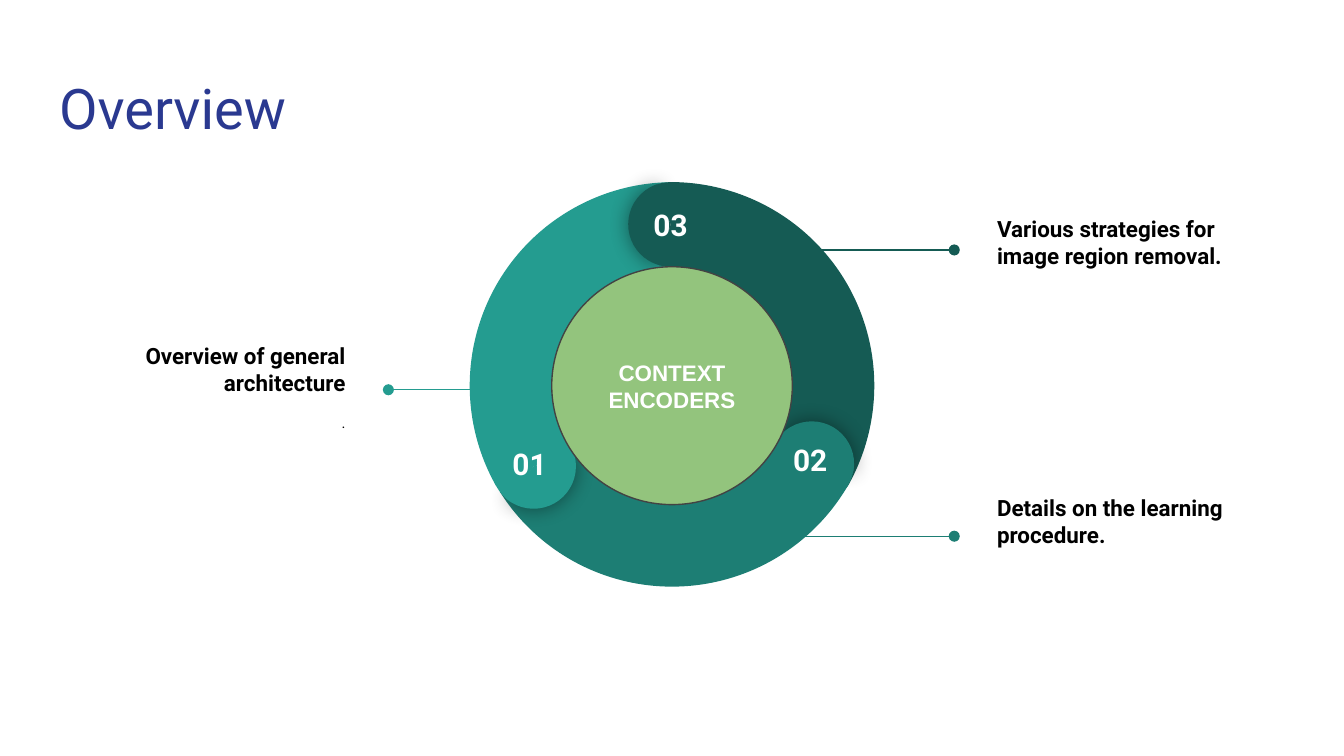
from dataclasses import dataclass
from math import cos, radians, sin

from lxml.etree import SubElement
from pptx import Presentation
from pptx.dml.color import RGBColor
from pptx.enum.shapes import MSO_CONNECTOR, MSO_SHAPE
from pptx.enum.text import MSO_ANCHOR, PP_ALIGN
from pptx.oxml.ns import qn
from pptx.util import Inches, Pt


@dataclass(frozen=True)
class Theme:
    font: str = "Roboto"
    hub_font: str = "Arial"
    title: str = "2A3990"
    ink: str = "000000"
    white: str = "FFFFFF"
    hub: str = "93C47D"
    hub_line: str = "434343"
    title_size: int = 30
    number_size: int = 16
    body_size: int = 12
    small_size: int = 8


THEME = Theme()
WIDTH = 10
HEIGHT = WIDTH * 9 / 16
TITLE = "Overview"
HUB = "CONTEXT ENCODERS"
STEPS = [
    dict(number="03", color="155B54", turn=0, center=(4.99, 2.87),
         arc=(126.225, 197.816, 0.208), nudge=(0, -0.09)),
    dict(number="02", color="1D7E74", turn=120, center=(5, 2.85),
         arc=(126.225, 196.628, 0.207), nudge=(-0.01, -0.12)),
    dict(number="01", color="249C90", turn=240, center=(5.01, 2.87),
         arc=(126.225, 197.033, 0.209), nudge=(-0.03, -0.11)),
]
CALLOUTS = [
    dict(lines=["Overview of general architecture", "."], color="249C90",
         left=0.35, top=2.17, line=(3.58, 2.89, 2.9), align=PP_ALIGN.RIGHT, rows_below=0),
    dict(lines=["Various strategies for image region removal."], color="155B54",
         left=7.32, top=1.16, line=(5.7, 7.1, 1.86), align=PP_ALIGN.LEFT, rows_below=1),
    dict(lines=["Details on the learning procedure."], color="1D7E74",
         left=7.32, top=3.3, line=(5.7, 7.1, 3.99), align=PP_ALIGN.LEFT, rows_below=2),
]
CALLOUT_SIZE = (2.32, 1.41)
RING, CAP, CAP_RADIUS = 3.03, 0.63, 1.2
SMALL_ROW = 0.13
FRONT_CAP, BACK_CAP = (61.904, 149.962), (40.283, 171.837)


def apply(target, **values):
    for name, value in values.items():
        setattr(target, name, value)


def write(shape, lines, sizes, color, font, align, anchor, bold=True, bottom=0.1, gap=0):
    frame = shape.text_frame
    apply(frame, word_wrap=True, vertical_anchor=anchor, margin_left=Inches(0.1),
          margin_right=Inches(0.1), margin_top=Inches(0.1), margin_bottom=Inches(bottom))
    for index, (line, size) in enumerate(zip(lines, sizes)):
        paragraph = frame.add_paragraph() if index else frame.paragraphs[0]
        apply(paragraph, alignment=align, space_before=Pt(0),
              space_after=Inches(gap if index < len(lines) - 1 else 0))
        run = paragraph.add_run()
        run.text = line
        apply(run.font, name=font, size=Pt(size), bold=bold and index == 0)
        run.font.color.rgb = RGBColor.from_string(color)


def add_centered(slide, kind, center, size, color, rotation=0, adjustments=()):
    left, top = (middle - length / 2 for middle, length in zip(center, size))
    shape = slide.shapes.add_shape(kind, *map(Inches, (left, top, *size)))
    shape.shadow.inherit = False
    shape.fill.solid()
    shape.fill.fore_color.rgb = RGBColor.from_string(color)
    shape.line.fill.background()
    shape.rotation = rotation
    for index, value in enumerate(adjustments):
        shape.adjustments[index] = value
    return shape


def add_soft_shadow(shape):
    effects = shape._element.spPr.find(qn("a:effectLst"))
    shadow = SubElement(effects, qn("a:outerShdw"), blurRad=str(Pt(11.2)), dist="0",
                        dir="0", algn="ctr", rotWithShape="0")
    color = SubElement(shadow, qn("a:srgbClr"), val=THEME.ink)
    SubElement(color, qn("a:alpha"), val="43000")


def add_callout(slide, callout):
    box = slide.shapes.add_textbox(
        *map(Inches, (callout["left"], callout["top"], *CALLOUT_SIZE)))
    write(box, callout["lines"], (THEME.body_size, THEME.small_size), THEME.ink, THEME.font,
          callout["align"], MSO_ANCHOR.MIDDLE,
          bottom=0.1 + SMALL_ROW * callout["rows_below"], gap=SMALL_ROW)
    start, end, level = map(Inches, callout["line"])
    connector = slide.shapes.add_connector(MSO_CONNECTOR.STRAIGHT, start, level, end, level)
    connector.line.width = Pt(0.75)
    connector.line.color.rgb = RGBColor.from_string(callout["color"])
    SubElement(connector.line._get_or_add_ln(), qn("a:tailEnd"), type="oval")
    SubElement(connector._element.spPr, qn("a:effectLst"))


def add_cap(slide, step):
    angle = radians(step["turn"])
    x, y = step["center"]
    center = (x + CAP_RADIUS * sin(angle), y - CAP_RADIUS * cos(angle))
    front = add_centered(slide, MSO_SHAPE.PIE, center, (CAP, CAP), step["color"],
                         step["turn"] + 0.7, FRONT_CAP)
    add_soft_shadow(front)
    add_centered(slide, MSO_SHAPE.PIE, center, (CAP, CAP), step["color"],
                 (step["turn"] + 180) % 360, BACK_CAP)
    width, height = 0.56, 0.29
    left = center[0] + step["nudge"][0] - width / 2
    top = center[1] + step["nudge"][1] - height / 2
    label = slide.shapes.add_textbox(*map(Inches, (left, top, width, height)))
    write(label, [step["number"]], [THEME.number_size], THEME.white, THEME.font,
          PP_ALIGN.CENTER, MSO_ANCHOR.TOP)


def main():
    presentation = Presentation()
    apply(presentation, slide_width=Inches(WIDTH), slide_height=Inches(HEIGHT))
    slide = presentation.slides.add_slide(presentation.slide_layouts[5])
    title = slide.shapes.title
    apply(title, left=Inches(0.34), top=Inches(0.45), width=Inches(9.32), height=Inches(0.66))
    write(title, [TITLE], [THEME.title_size], THEME.title, THEME.font,
          PP_ALIGN.LEFT, MSO_ANCHOR.TOP, bold=False)
    for callout in CALLOUTS:
        add_callout(slide, callout)
    for step in STEPS:
        add_centered(slide, MSO_SHAPE.BLOCK_ARC, step["center"], (RING, RING),
                     step["color"], step["turn"] + 60, step["arc"])
    for step in STEPS:
        add_cap(slide, step)
    hub = add_centered(slide, MSO_SHAPE.OVAL, (5, 2.87), (1.79, 1.77), THEME.hub)
    hub.line.color.rgb = RGBColor.from_string(THEME.hub_line)
    hub.line.width = Pt(0.75)
    write(hub, [HUB], [THEME.body_size], THEME.white, THEME.hub_font,
          PP_ALIGN.CENTER, MSO_ANCHOR.MIDDLE)
    presentation.save("out.pptx")


if __name__ == "__main__":
    main()
